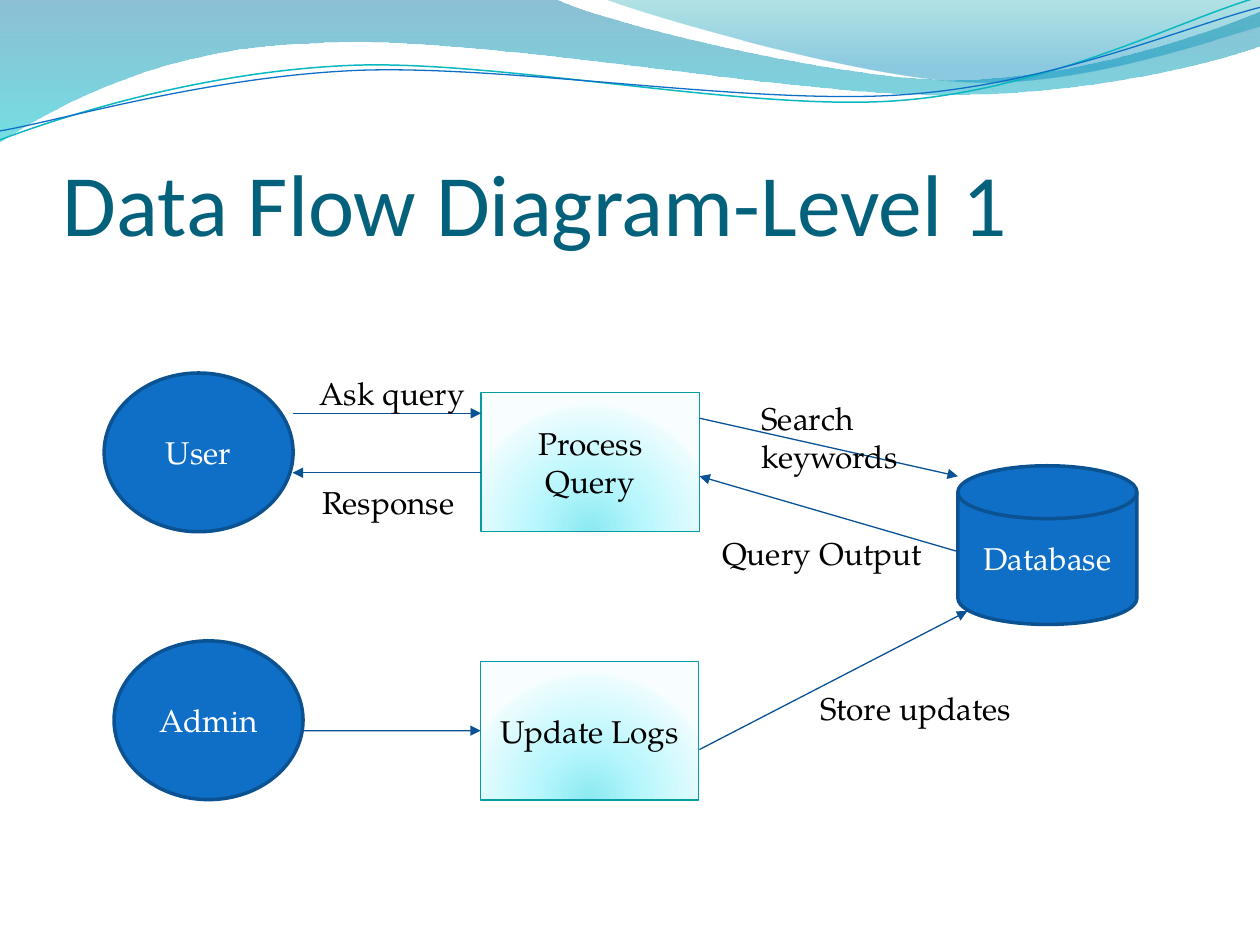
from lxml import etree
from pptx import Presentation
from pptx.dml.color import RGBColor
from pptx.enum.shapes import MSO_CONNECTOR, MSO_SHAPE as SHAPE
from pptx.enum.text import MSO_ANCHOR as ANCHOR, PP_ALIGN as ALIGN
from pptx.oxml import parse_xml
from pptx.oxml.ns import nsdecls, qn
from pptx.util import Cm, Pt

COLORS = {
    "title": "04617B", "text": "000000", "white": "FFFFFF",
    "blue": "0F6FC6", "blue_edge": "0B5292", "teal_edge": "069CA3",
    "arrow": "095295", "teal_line": "0AB8BF",
    "wave_blue": "0074A1", "wave_teal": "00C6CF",
    "crest_teal": "00A1A9", "crest_blue": "008BBF",
    "glow_core": "8BE9F1", "glow_mid": "B9F7FD",
    "glow_pale": "EAFCFE", "glow_edge": "F8FEFF",
}
BODY_FONT = "TeX Gyre Pagella"
DOWNWARD = '<a:lin ang="5400000" scaled="0"/>'
FROM_BELOW = ('<a:path path="circle"><a:fillToRect l="50000" t="130000" '
              'r="50000" b="-30000"/></a:path>')
PROCESS_STOPS = [(0, "glow_core", 100), (43, "glow_mid", 100),
                 (93, "glow_pale", 100), (100, "glow_edge", 100)]


def set_gradient(shape, stops, direction):
    stop_xml = "".join(
        f'<a:gs pos="{position * 1000}"><a:srgbClr val="{COLORS[color]}">'
        f'<a:alpha val="{opacity * 1000}"/></a:srgbClr></a:gs>'
        for position, color, opacity in stops)
    shape.fill.background()
    no_fill = shape._element.spPr.find(qn("a:noFill"))
    no_fill.addprevious(parse_xml(
        f'<a:gradFill {nsdecls("a")} rotWithShape="1">'
        f'<a:gsLst>{stop_xml}</a:gsLst>{direction}</a:gradFill>'))
    no_fill.getparent().remove(no_fill)


def write_text(shape, text, size, font, color, align, anchor):
    frame = shape.text_frame
    frame.word_wrap = True
    frame.vertical_anchor = anchor
    frame.text = text
    paragraph = frame.paragraphs[0]
    paragraph.alignment = align
    run_font = paragraph.runs[0].font
    run_font.size = Pt(size)
    run_font.name = font
    run_font.color.rgb = RGBColor.from_string(COLORS[color])


presentation = Presentation()
presentation.slide_width = Cm(25.4)
presentation.slide_height = Cm(19.05)
slide = presentation.slides.add_slide(presentation.slide_layouts[6])
shapes = slide.shapes

waves = [
    ([(0, 0), (11.18, -0.03), (12.09, 0.43, 16.87, 1.6, 19.25, 1.6),
      (21.67, 1.6, 24.33, 0.66, 25.4, 0.23), (25.43, 0.91),
      (24.97, 1.12, 22.1, 1.93, 18.95, 1.91),
      (15.8, 1.91, 9.7, 0.71, 6.53, 0.86),
      (3.28, 0.91, 1.17, 2.11, -0.03, 2.87)],
     [(0, "wave_blue", 45), (100, "wave_teal", 55)], None, 0),
    ([(12.17, -0.03), (12.93, 0.28, 17.32, 1.57, 19.53, 1.65),
      (21.74, 1.75, 24.41, 0.81, 25.4, 0.53), (25.4, 0)],
     [(0, "crest_teal", 30), (80, "crest_blue", 45)], None, 0),
    ([(0, 2.82), (1.22, 2.36, 4.01, 1.45, 7.04, 1.32),
      (10.03, 1.19, 15.06, 2.26, 18.11, 2.03),
      (21.16, 1.8, 23.83, 0.38, 25.35, -0.05)], None, "teal_line", 0.85),
    ([(0, 2.64), (1.19, 2.44, 4.17, 1.55, 7.19, 1.42),
      (10.24, 1.3, 15.16, 2.13, 18.21, 1.91),
      (21.23, 1.7, 23.9, 0.53, 25.4, 0.15)], None, "blue", 0.75),
]
for (start, *segments), stops, line_color, line_width in waves:
    builder = shapes.build_freeform(Cm(start[0]), Cm(start[1]))
    builder.add_line_segments([(Cm(segment[-2]), Cm(segment[-1]))
                               for segment in segments], close=bool(stops))
    wave = builder.convert_to_shape()
    wave.shadow.inherit = False
    straight_parts = list(wave._element.iter(qn("a:lnTo")))
    for part, segment in zip(straight_parts, segments):
        if len(segment) == 6:
            curve = etree.Element(qn("a:cubicBezTo"))
            for x, y in zip(segment[::2], segment[1::2]):
                etree.SubElement(curve, qn("a:pt"), x=str(Cm(x) - wave.left),
                                 y=str(Cm(y) - wave.top))
            part.getparent().replace(part, curve)
    if stops:
        set_gradient(wave, stops, DOWNWARD)
        wave.line.fill.background()
    else:
        wave.fill.background()
        wave.line.color.rgb = RGBColor.from_string(COLORS[line_color])
        wave.line.width = Pt(line_width)

title = shapes.add_textbox(Cm(1.27), Cm(1.96), Cm(22.86), Cm(3.17))
write_text(title, "Data Flow Diagram-Level 1", 50, "Calibri", "title",
           ALIGN.LEFT, ANCHOR.BOTTOM)
title.text_frame.margin_left = title.text_frame.margin_right = 0
title.text_frame.margin_bottom = 0

node_sizes = {SHAPE.OVAL: (3.81, 3.2), SHAPE.RECTANGLE: (4.4, 2.8),
              SHAPE.FLOWCHART_MAGNETIC_DISK: (3.61, 3.2)}
nodes = {}
for name, kind, left, top in [
    ("User", SHAPE.OVAL, 2.1, 7.52),
    ("Process Query", SHAPE.RECTANGLE, 9.7, 7.92),
    ("Database", SHAPE.FLOWCHART_MAGNETIC_DISK, 19.31, 9.39),
    ("Update Logs", SHAPE.RECTANGLE, 9.69, 13.33),
    ("Admin", SHAPE.OVAL, 2.3, 12.92),
]:
    width, height = node_sizes[kind]
    node = shapes.add_shape(kind, Cm(left), Cm(top), Cm(width), Cm(height))
    node.shadow.inherit = False
    is_process = kind == SHAPE.RECTANGLE
    if is_process:
        set_gradient(node, PROCESS_STOPS, FROM_BELOW)
    else:
        node.fill.solid()
        node.fill.fore_color.rgb = RGBColor.from_string(COLORS["blue"])
    edge = "teal_edge" if is_process else "blue_edge"
    node.line.color.rgb = RGBColor.from_string(COLORS[edge])
    node.line.width = Pt(0.75 if is_process else 2)
    write_text(node, name, 18, BODY_FONT, "text" if is_process else "white",
               ALIGN.CENTER, ANCHOR.MIDDLE)
    nodes[name] = node

for x1, y1, x2, y2, target in [
    (5.9, 8.33, 9.7, 8.33, None),
    (9.69, 9.53, 5.9, 9.53, None),
    (14.1, 8.43, 19.31, 9.6, None),
    (19.31, 11.12, 14.1, 9.6, None),
    (14.1, 15.11, 19.5, 12.32, None),
    (6.1, 14.73, 9.69, 14.73, "Update Logs"),
]:
    arrow = shapes.add_connector(MSO_CONNECTOR.STRAIGHT,
                                 Cm(x1), Cm(y1), Cm(x2), Cm(y2))
    if target:
        arrow.end_connect(nodes[target], 1)
    arrow.line.color.rgb = RGBColor.from_string(COLORS["arrow"])
    arrow.line.width = Pt(0.75)
    etree.SubElement(arrow.line._get_or_add_ln(), qn("a:tailEnd"), type="triangle")
    etree.SubElement(arrow._element.spPr, qn("a:effectLst"))

for text, left, top, width, inset in [
    ("Ask query", 5.9, 7.42, 3.81, 0.54),
    ("Response", 6.11, 9.61, 3.4, 0.39),
    ("Search keywords", 15.1, 7.92, 5.21, 0.25),
    ("Query Output", 14.31, 10.64, 5.21, 0.25),
    ("Store updates", 16.3, 13.77, 4.39, 0.25),
]:
    label = shapes.add_textbox(Cm(left), Cm(top), Cm(width), Cm(1.02))
    write_text(label, text, 18, BODY_FONT, "text", ALIGN.LEFT, ANCHOR.TOP)
    label.text_frame.margin_left = Cm(inset)

presentation.save("out.pptx")
